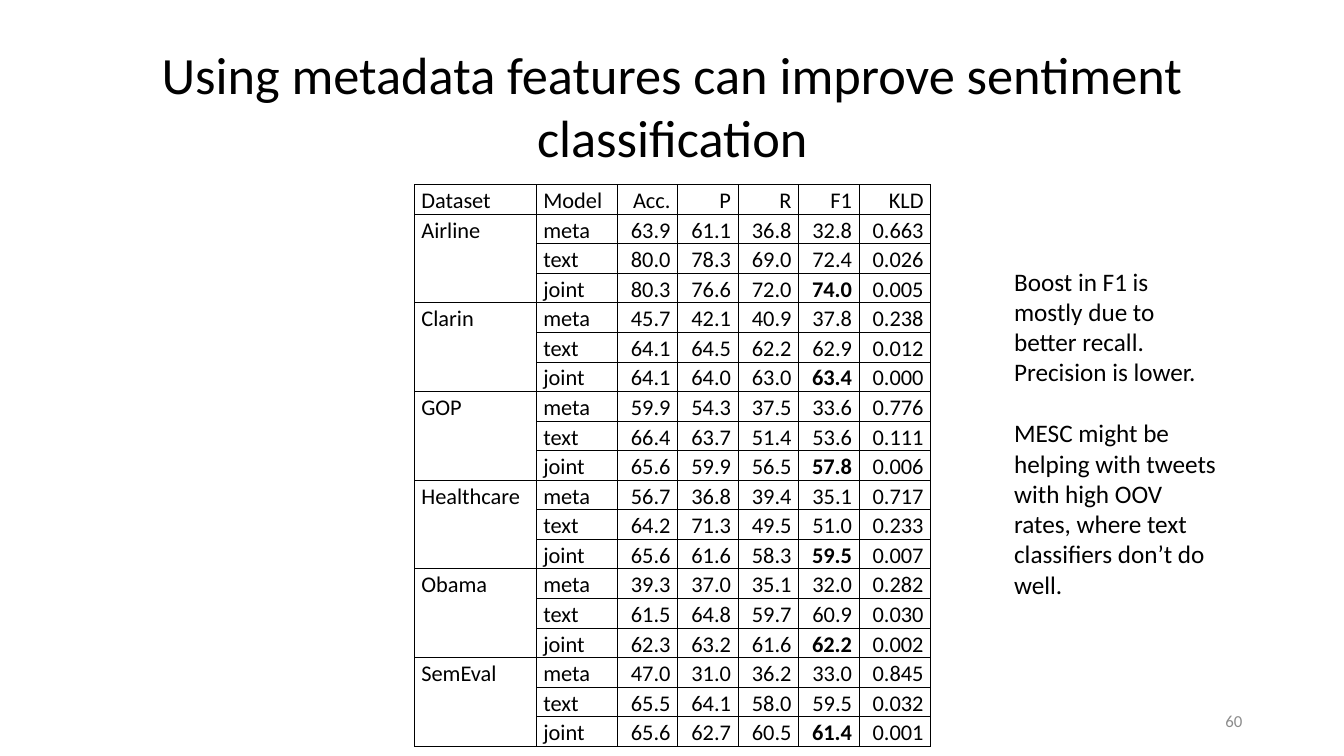
from dataclasses import dataclass

from lxml.etree import SubElement
from pptx import Presentation
from pptx.dml.color import RGBColor
from pptx.enum.text import MSO_ANCHOR, PP_ALIGN
from pptx.oxml.ns import qn
from pptx.slide import Slide
from pptx.table import Table, _Cell
from pptx.text.text import TextFrame
from pptx.util import Inches, Pt


@dataclass(frozen=True)
class Theme:
    font: str = "Calibri"
    ink: str = "000000"
    muted: str = "8C8C8C"
    title: float = 37.4
    body: float = 18
    table: float = 16
    small: float = 12
    border: float = 0.5
    paragraph_gap: float = 22


@dataclass(frozen=True)
class TextBox:
    paragraphs: tuple[str, ...]
    left: float
    top: float
    width: float
    height: float
    size: float
    color: str
    align: PP_ALIGN
    anchor: MSO_ANCHOR


@dataclass(frozen=True)
class Column:
    heading: str
    width: float
    align: PP_ALIGN


@dataclass(frozen=True)
class Result:
    """Scores of one dataset, one string per model."""
    dataset: str
    meta: str
    text: str
    joint: str


THEME = Theme()

BOXES = (
    TextBox(("60",), 9.42, 6.95, 3, 0.4, THEME.small, THEME.muted,
            PP_ALIGN.RIGHT, MSO_ANCHOR.MIDDLE),
    TextBox(("Using metadata features can improve sentiment classification",),
            0.67, 0.48, 12, 1.12, THEME.title, THEME.ink,
            PP_ALIGN.CENTER, MSO_ANCHOR.MIDDLE),
    TextBox(("Boost in F1 is mostly due to better recall. Precision is lower.",
             "MESC might be helping with tweets with high OOV rates, "
             "where text classifiers don’t do well."),
            9.96, 2.59, 2.26, 3.43, THEME.body, THEME.ink,
            PP_ALIGN.LEFT, MSO_ANCHOR.TOP),
)

COLUMNS = (
    Column("Dataset", 1.21, PP_ALIGN.JUSTIFY),
    Column("Model", 0.8, PP_ALIGN.JUSTIFY),
    Column("Acc.", 0.6, PP_ALIGN.RIGHT),
    Column("P", 0.6, PP_ALIGN.RIGHT),
    Column("R", 0.6, PP_ALIGN.RIGHT),
    Column("F1", 0.6, PP_ALIGN.RIGHT),
    Column("KLD", 0.71, PP_ALIGN.RIGHT),
)

MODELS = ("meta", "text", "joint")

RESULTS = (
    Result("Airline", "63.9 61.1 36.8 32.8 0.663",
           "80.0 78.3 69.0 72.4 0.026", "80.3 76.6 72.0 74.0 0.005"),
    Result("Clarin", "45.7 42.1 40.9 37.8 0.238",
           "64.1 64.5 62.2 62.9 0.012", "64.1 64.0 63.0 63.4 0.000"),
    Result("GOP", "59.9 54.3 37.5 33.6 0.776",
           "66.4 63.7 51.4 53.6 0.111", "65.6 59.9 56.5 57.8 0.006"),
    Result("Healthcare", "56.7 36.8 39.4 35.1 0.717",
           "64.2 71.3 49.5 51.0 0.233", "65.6 61.6 58.3 59.5 0.007"),
    Result("Obama", "39.3 37.0 35.1 32.0 0.282",
           "61.5 64.8 59.7 60.9 0.030", "62.3 63.2 61.6 62.2 0.002"),
    Result("SemEval", "47.0 31.0 36.2 33.0 0.845",
           "65.5 64.1 58.0 59.5 0.032", "65.6 62.7 60.5 61.4 0.001"),
)


def write_text(tf: TextFrame, *paragraphs: str, size: float,
               color: str = THEME.ink, bold: bool = False,
               align: PP_ALIGN = PP_ALIGN.LEFT, spacing: float = 1.0) -> None:
    for i, text in enumerate(paragraphs):
        p = tf.add_paragraph() if i else tf.paragraphs[0]
        p.alignment = align
        p.line_spacing = spacing
        if i:
            p.space_before = Pt(THEME.paragraph_gap)
        r = p.add_run()
        r.text = text
        r.font.name = THEME.font
        r.font.size = Pt(size)
        r.font.bold = bold
        r.font.color.rgb = RGBColor.from_string(color)


def add_text_box(slide: Slide, box: TextBox) -> None:
    sp = slide.shapes.add_textbox(Inches(box.left), Inches(box.top),
                                  Inches(box.width), Inches(box.height))
    tf = sp.text_frame
    tf.word_wrap = True
    tf.vertical_anchor = box.anchor
    write_text(tf, *box.paragraphs, size=box.size, color=box.color, align=box.align)


def style_cell(cell: _Cell) -> None:
    """Give the cell thin black borders, no fill and tight margins."""
    cell.margin_left = cell.margin_right = Inches(0.07)
    cell.margin_top = cell.margin_bottom = 0
    tc_pr = cell._tc.get_or_add_tcPr()
    for side in ("a:lnL", "a:lnR", "a:lnT", "a:lnB"):
        ln = SubElement(tc_pr, qn(side), w=str(Pt(THEME.border)))
        fill = SubElement(ln, qn("a:solidFill"))
        SubElement(fill, qn("a:srgbClr"), val=THEME.ink)
    cell.fill.background()


def write_cell(table: Table, row: int, col: int, text: str, align: PP_ALIGN,
               bold: bool = False) -> None:
    write_text(table.cell(row, col).text_frame, text, size=THEME.table,
               bold=bold, align=align, spacing=1.1)


def add_results_table(slide: Slide) -> None:
    n_rows = 1 + len(RESULTS) * len(MODELS)
    table = slide.shapes.add_table(
        n_rows, len(COLUMNS), Inches(4.11), Inches(1.83),
        Inches(5.12), Inches(5.26)).table
    table.first_row = table.horz_banding = False
    for cell in table.iter_cells():
        style_cell(cell)

    for c, column in enumerate(COLUMNS):
        table.columns[c].width = Inches(column.width)
        write_cell(table, 0, c, column.heading, column.align)
        if column.align == PP_ALIGN.RIGHT:
            table.cell(0, c).vertical_anchor = MSO_ANCHOR.MIDDLE

    for g, result in enumerate(RESULTS):
        top = 1 + g * len(MODELS)
        table.cell(top, 0).merge(table.cell(top + len(MODELS) - 1, 0))
        write_cell(table, top, 0, result.dataset, PP_ALIGN.LEFT)
        scores = (result.meta, result.text, result.joint)
        for row, (model, line) in enumerate(zip(MODELS, scores), top):
            for c, value in enumerate((model, *line.split()), 1):
                best = model == "joint" and COLUMNS[c].heading == "F1"
                write_cell(table, row, c, value, COLUMNS[c].align, bold=best)


def main() -> None:
    prs = Presentation()
    prs.slide_width, prs.slide_height = Inches(13.33), Inches(7.5)
    slide = prs.slides.add_slide(prs.slide_layouts[6])
    number, title, remarks = BOXES
    add_text_box(slide, number)
    add_text_box(slide, title)
    add_results_table(slide)
    add_text_box(slide, remarks)
    prs.save("out.pptx")


if __name__ == "__main__":
    main()
